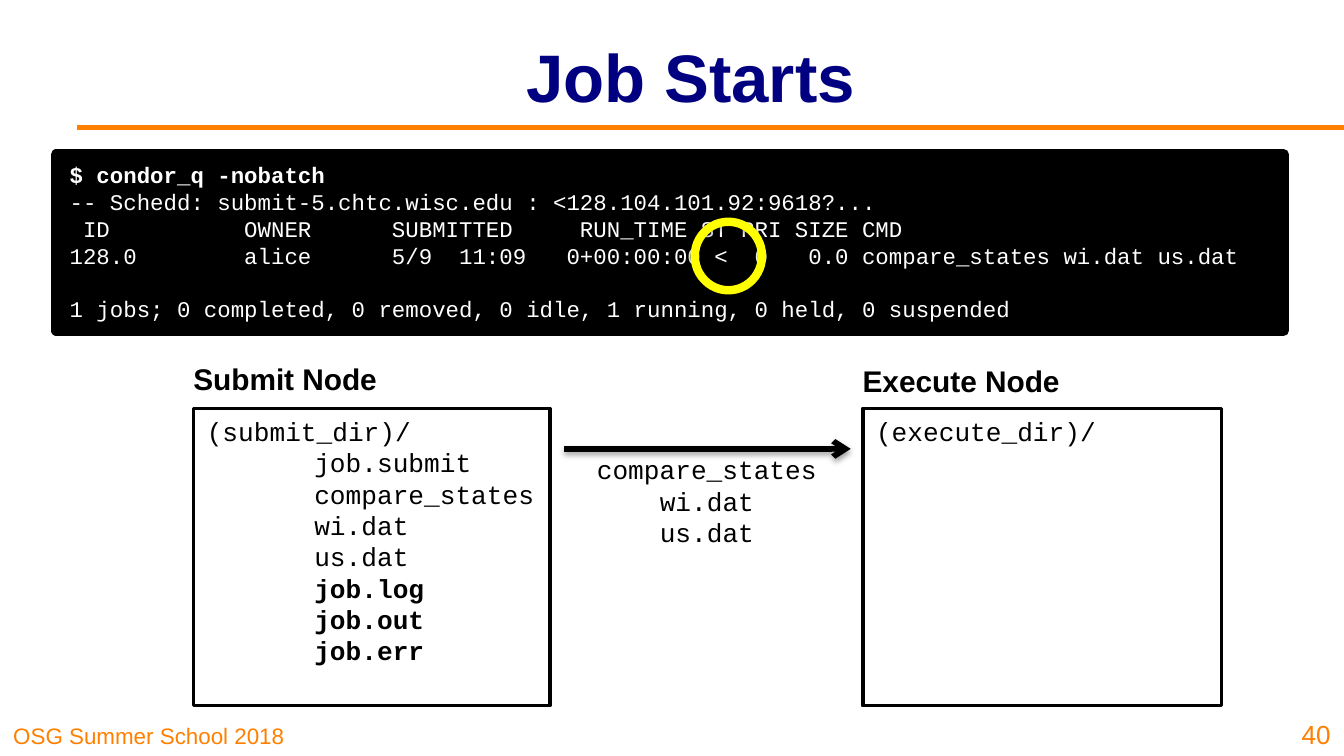
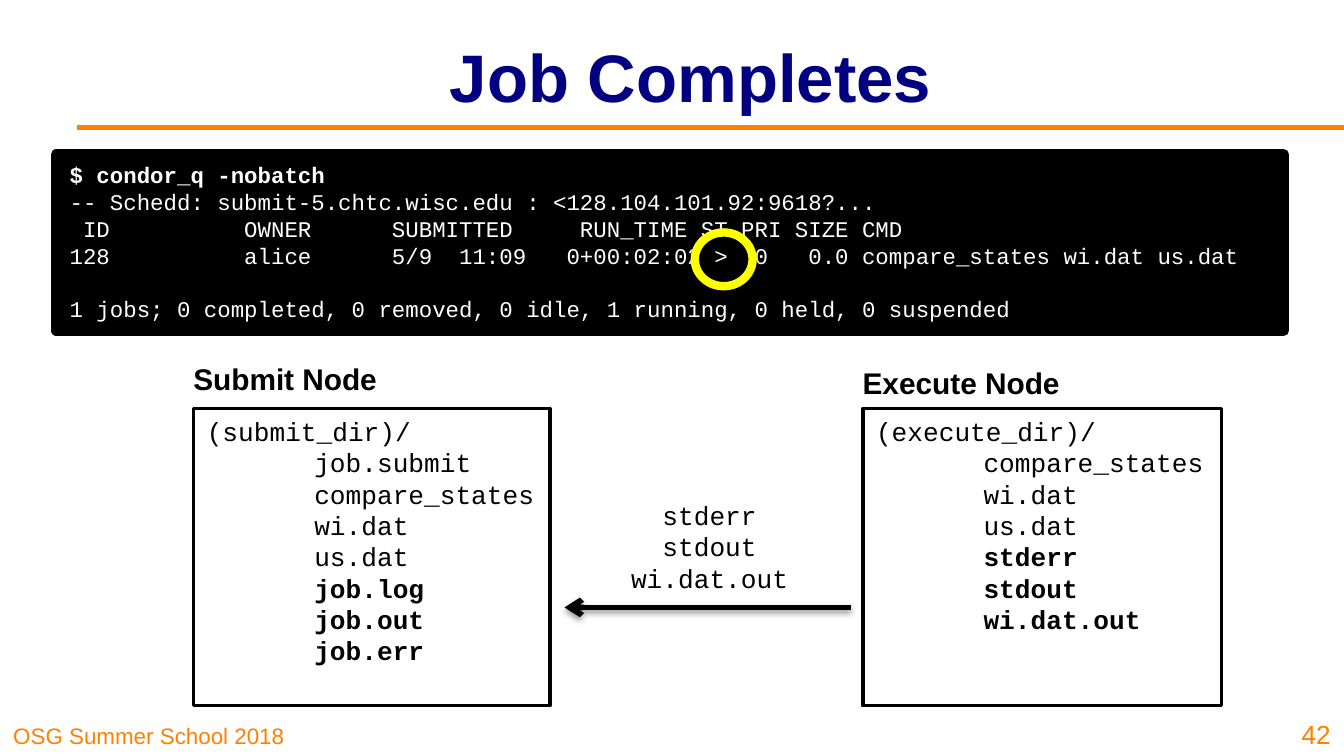
from lxml.etree import SubElement as Sub
from pptx import Presentation
from pptx.dml.color import RGBColor
from pptx.enum.shapes import MSO_CONNECTOR as Link, MSO_SHAPE as Shape
from pptx.enum.text import MSO_ANCHOR as Anchor, PP_ALIGN as Align
from pptx.oxml.ns import qn
from pptx.util import Pt

SCALE = 9144
WHITE = RGBColor(0xFF, 0xFF, 0xFF)
BLACK = RGBColor(0x00, 0x00, 0x00)
NAVY = RGBColor(0x00, 0x00, 0x80)
ORANGE = RGBColor(0xFF, 0x80, 0x00)
YELLOW = RGBColor(0xFF, 0xFF, 0x00)
SANS = "Arial"
MONO = "Courier New"

SUBMIT = ["job.submit", "compare_states", "wi.dat", "us.dat"]
LOGS = ["job.log", "job.out", "job.err"]


def px(*sizes):
    """Turn px lengths into EMU."""
    return [size * SCALE for size in sizes]


def style(para, size, color, font=SANS, bold=False, align=Align.LEFT):
    """Format one paragraph and its runs."""
    para.alignment = align
    if font == MONO:
        para.line_spacing = Pt(size * 1.2)
    for run in para.runs:
        run.font.name = font
        run.font.size = Pt(size)
        run.font.bold = bold
        run.font.color.rgb = color


def label(slide, box, text, size, color, anchor=Anchor.MIDDLE, **look):
    """Add a one-line text box."""
    frame = slide.shapes.add_textbox(*px(*box)).text_frame
    frame.word_wrap = True
    frame.vertical_anchor = anchor
    frame.text = text
    style(frame.paragraphs[0], size, color, **look)


def panel(slide, box, lines, fill, edge, width, anchor=Anchor.TOP):
    """Add a filled box of text lines and return its text frame."""
    shape = slide.shapes.add_shape(Shape.RECTANGLE, *px(*box))
    shape.shadow.inherit = False
    shape.fill.solid()
    shape.fill.fore_color.rgb = fill
    shape.line.color.rgb = edge
    shape.line.width = Pt(width)
    frame = shape.text_frame
    frame.word_wrap = True
    frame.vertical_anchor = anchor
    frame.margin_right = 5 * SCALE
    frame.text = "\n".join(lines)
    return frame


def effect(shape, alpha=0, dist=0):
    """Give a shape a soft drop shadow, or none when alpha is zero."""
    props = shape._element.spPr
    for old in props.findall(qn("a:effectLst")):
        props.remove(old)
    group = Sub(props, qn("a:effectLst"))
    if alpha:
        shade = Sub(group, qn("a:outerShdw"), blurRad="40000", dist=str(dist),
                    dir="5400000", rotWithShape="0")
        color = Sub(shade, qn("a:srgbClr"), val=str(BLACK))
        Sub(color, qn("a:alpha"), val=str(alpha * 1000))


def stroke(slide, start, end, color):
    """Draw a straight line of 3 points."""
    line = slide.shapes.add_connector(Link.STRAIGHT, *px(*start, *end))
    line.line.color.rgb = color
    line.line.width = Pt(3)
    effect(line)
    return line


def base(slide, title, number):
    """Add the footer, title band and page number."""
    label(slide, (0, 531, 248, 31), "OSG Summer School 2018", 12, ORANGE,
          Anchor.BOTTOM)
    stroke(slide, (57, 95), (1000, 95), ORANGE)
    label(slide, (134, 9, 760, 94), title, 36, NAVY, bold=True,
          align=Align.CENTER)
    label(slide, (954, 525, 46, 38), str(number), 14, ORANGE, Anchor.BOTTOM,
          align=Align.RIGHT)


def console(slide, box, job, ring):
    """Show the queue listing with a ring around the job state."""
    lines = [
        "$ condor_q -nobatch",
        "-- Schedd: submit-5.chtc.wisc.edu : <128.104.101.92:9618?...",
        " ID          OWNER      SUBMITTED     RUN_TIME ST PRI SIZE CMD",
        job,
        "1 jobs; 0 completed, 0 removed, 0 idle, 1 running, 0 held, 0 suspended",
    ]
    paras = panel(slide, box, lines, BLACK, BLACK, 6).paragraphs
    for i, para in enumerate(paras):
        style(para, 12, WHITE, MONO, bold=i == 0)
    paras[-1].space_before = Pt(14.4)
    left, top, *size = ring
    mark = slide.shapes.add_shape(
        Shape.OVAL, *px(box[0] + left, box[1] + top, *size))
    mark.fill.background()
    mark.line.color.rgb = YELLOW
    mark.line.width = Pt(4.5)
    effect(mark, 35, 23000)


def node(slide, box, name, rise, folder, plain, strong):
    """Show a named node with the files in its folder."""
    left, top, *_ = box
    files = [folder, *plain, *strong]
    frame = panel(slide, box, files, WHITE, BLACK, 2)
    for i, para in enumerate(frame.paragraphs):
        if i:
            para._p.get_or_add_pPr().set("marL", str(80 * SCALE))
        style(para, 14, BLACK, MONO, bold=i > len(plain))
    label(slide, (left - 10, top - rise, 168, 43), name, 16, BLACK, bold=True)


def transfer(slide, box, files, start, end):
    """Show moving files beside an arrow."""
    frame = panel(slide, box, files, WHITE, WHITE, 2, Anchor.MIDDLE)
    frame.margin_left = 5 * SCALE
    for para in frame.paragraphs:
        style(para, 14, BLACK, MONO, align=Align.CENTER)
    arrow = stroke(slide, start, end, BLACK)
    Sub(arrow._element.spPr.find(qn("a:ln")), qn("a:tailEnd"), type="arrow")
    effect(arrow, 38, 20000)


def stage(deck, title, number, job, ring, move, rise, plain=(), strong=()):
    """Build one slide on a stage of the job."""
    slide = deck.slides.add_slide(deck.slide_layouts[6])
    base(slide, title, number)
    transfer(slide, *move)
    console(slide, (42, 115, 913, 131), job, ring)
    node(slide, (642, 304, 267, 221), "Execute Node", rise,
         "(execute_dir)/", plain, strong)
    node(slide, (144, 304, 265, 221), "Submit Node", 44,
         "(submit_dir)/", SUBMIT, LOGS)


def main():
    """Build and save the deck."""
    deck = Presentation()
    deck.slide_width = 1000 * SCALE
    deck.slide_height = deck.slide_width * 9 // 16
    inputs = SUBMIT[1:]
    results = ["stderr", "stdout", "wi.dat.out"]
    stage(deck, "Job Starts", 40,
          "128.0        alice      5/9  11:09   0+00:00:00 <  0   0.0 "
          "compare_states wi.dat us.dat",
          (475, 50, 50, 51),
          ((427, 319, 198, 107), inputs, (420, 334), (633, 334)), 42)
    stage(deck, "Job Completes", 42,
          "128          alice      5/9  11:09   0+00:02:02 >  0   0.0 "
          "compare_states wi.dat us.dat",
          (475, 58, 43, 40),
          ((454, 357, 148, 99), results, (633, 452), (420, 452)), 41,
          inputs, results)
    deck.save("out.pptx")


if __name__ == "__main__":
    main()
